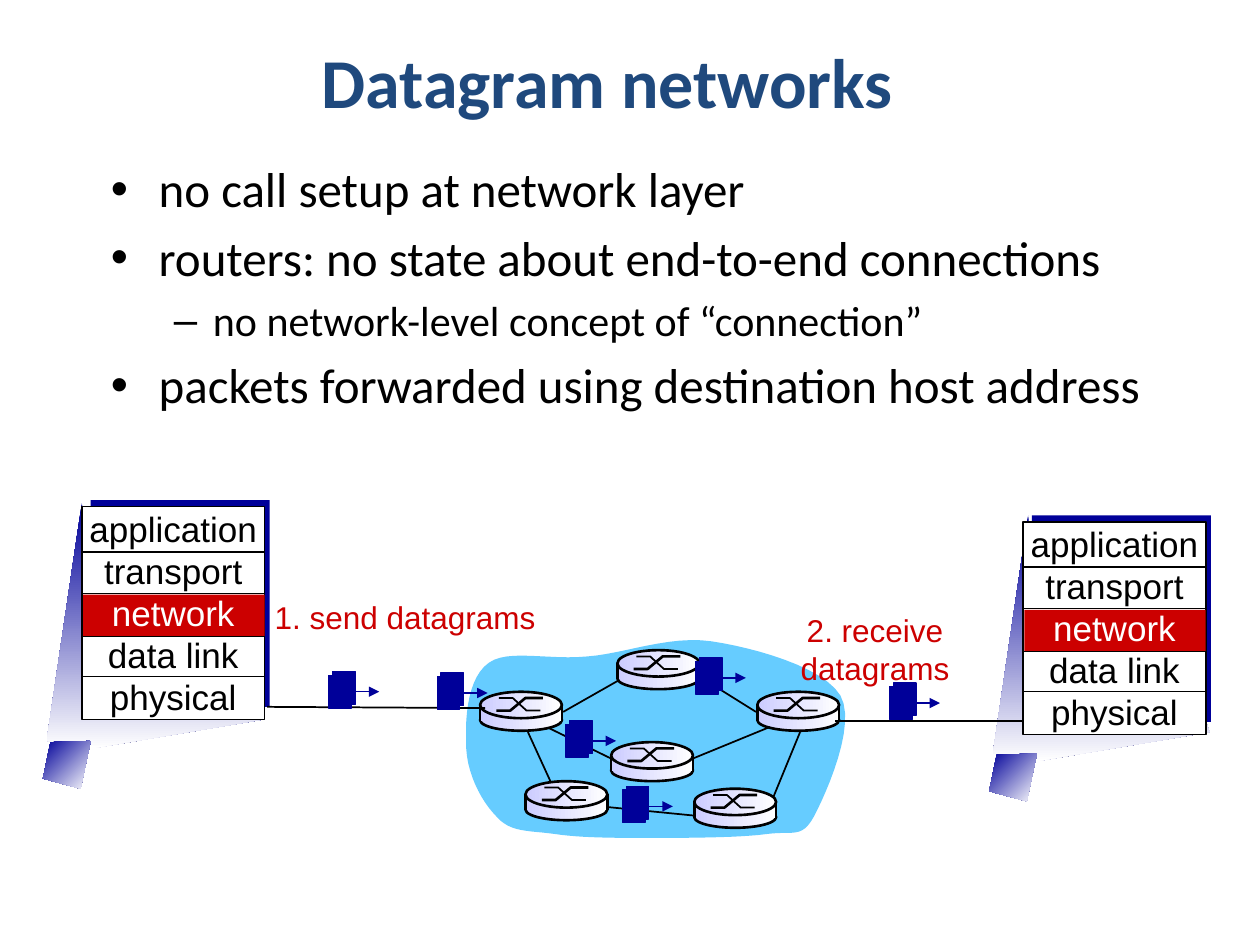
from lxml.etree import SubElement
from pptx import Presentation
from pptx.dml.color import RGBColor
from pptx.enum.shapes import MSO_CONNECTOR, MSO_SHAPE
from pptx.enum.text import MSO_ANCHOR, MSO_AUTO_SIZE, PP_ALIGN
from pptx.oxml.ns import qn
from pptx.util import Inches, Pt

BLACK = RGBColor(0x00, 0x00, 0x00)
WHITE = RGBColor(0xFF, 0xFF, 0xFF)
TITLE_BLUE = RGBColor(0x1F, 0x49, 0x7D)
NAVY = RGBColor(0x00, 0x00, 0x99)
RED = RGBColor(0xCC, 0x00, 0x00)
SKY = RGBColor(0x66, 0xCC, 0xFF)
LAVENDER = RGBColor(0xCC, 0xCC, 0xFF)

BULLETS = [
    ("no call setup at network layer", 0),
    ("routers: no state about end-to-end connections", 0),
    ("no network-level concept of “connection”", 1),
    ("packets forwarded using destination host address", 0),
]
LEVELS = [(28, 0.38, -0.38), (24, 0.81, -0.31)]
LAYERS = ["application", "transport", "network", "data link", "physical"]
LAYER_RULES = [0.36, 0.69, 1.03, 1.35]
BEAM = [(-0.28, 1.86), (0, -0.03), (0.08, 1.53), (1.39, 1.54), (1.44, 1.69), (0.08, 1.92)]
BEAM_TAIL = [(0.07, 1.86), (-0.25, 1.87), (-0.31, 2.16), (-0.01, 2.24)]
CLOUD_START = (3.7, 5.88)
CLOUD_CURVES = [
    ((3.69, 5.67), (3.72, 5.37), (3.88, 5.26)),
    ((4.03, 5.15), (4.36, 5.24), (4.66, 5.21)),
    ((4.95, 5.19), (5.31, 5.04), (5.65, 5.09)),
    ((5.98, 5.14), (6.53, 5.29), (6.67, 5.52)),
    ((6.8, 5.75), (6.56, 6.29), (6.46, 6.48)),
    ((6.36, 6.66), (6.3, 6.59), (6.08, 6.62)),
    ((5.86, 6.65), (5.43, 6.65), (5.15, 6.65)),
    ((4.87, 6.65), (4.61, 6.65), (4.41, 6.62)),
    ((4.2, 6.59), (4.05, 6.61), (3.94, 6.48)),
    ((3.82, 6.36), (3.69, 6.12), (3.7, 5.88)),
]
EDGE_ROUTERS = [(6.01, 5.49), (4.85, 5.89), (3.81, 5.49)]
CORE_ROUTERS = [(4.9, 5.16), (5.51, 6.26), (4.17, 6.2)]
LINKS = [
    ((2.12, 5.61), (3.85, 5.62)), ((4.47, 5.65), (4.98, 5.36)),
    ((5.52, 5.35), (6, 5.65)), ((4.36, 5.78), (4.89, 6.04)),
    ((5.5, 6.02), (6.11, 5.77)), ((6.12, 6.37), (6.35, 5.81)),
    ((5.58, 6.48), (4.77, 6.4)), ((4.4, 6.27), (4.19, 5.81)),
    ((8.12, 5.72), (6.63, 5.72)),
]
PACKETS = [(2.64, 5.33), (3.5, 5.34), (5.55, 5.22), (4.97, 6.24), (4.52, 5.72), (7.09, 5.42)]


def paint(shape, fill=None, line=None, weight=1, angle=0):
    shape.shadow.inherit = False
    if fill is None:
        shape.fill.background()
    elif isinstance(fill, RGBColor):
        shape.fill.solid()
        shape.fill.fore_color.rgb = fill
    else:
        shape.fill.gradient()
        shape.fill.gradient_angle = angle
        for stop, color in zip(shape.fill.gradient_stops, fill):
            stop.color.rgb = color
    if line is None:
        shape.line.fill.background()
    else:
        shape.line.color.rgb = line
        shape.line.width = Pt(weight)


def add_preset(shapes, kind, left, top, width, height, **style):
    shape = shapes.add_shape(kind, Inches(left), Inches(top), Inches(width), Inches(height))
    paint(shape, **style)


def add_outline(shapes, points, left=0, top=0, close=True, **style):
    corners = [(Inches(left + x), Inches(top + y)) for x, y in points]
    builder = shapes.build_freeform(*corners[0])
    builder.add_line_segments(corners[1:], close=close)
    paint(builder.convert_to_shape(), **style)


def add_line(shapes, start, end, color=BLACK, weight=1, arrow=False):
    line = shapes.add_connector(MSO_CONNECTOR.STRAIGHT, *map(Inches, start + end))
    line.line.color.rgb = color
    line.line.width = Pt(weight)
    if arrow:
        SubElement(line._element.spPr.find(qn("a:ln")), qn("a:tailEnd"), type="triangle")
    SubElement(line._element.spPr, qn("a:effectLst"))


def add_span(para, text, size, color, font="Arial", bold=False):
    span = para.add_run()
    span.text = text
    span.font.name = font
    span.font.size = Pt(size)
    span.font.bold = bold
    span.font.color.rgb = color


def place(box, left, top, width, height):
    box.left, box.top, box.width, box.height = map(Inches, (left, top, width, height))
    box.text_frame.word_wrap = True
    box.text_frame.auto_size = MSO_AUTO_SIZE.NONE


def fill_title(box, left, top, width, height):
    place(box, left, top, width, height)
    box.text_frame.vertical_anchor = MSO_ANCHOR.MIDDLE
    para = box.text_frame.paragraphs[0]
    para.alignment = PP_ALIGN.CENTER
    add_span(para, "Datagram networks", 40, TITLE_BLUE, "Calibri", True)


def fill_body(box, left, top, width, height):
    place(box, left, top, width, height)
    frame = box.text_frame
    for index, (text, level) in enumerate(BULLETS):
        para = frame.add_paragraph() if index else frame.paragraphs[0]
        size, margin, indent = LEVELS[level]
        para.level = level
        para.space_before = Pt(size * 0.2 if index else 0)
        properties = para._p.get_or_add_pPr()
        properties.set("marL", str(Inches(margin)))
        properties.set("indent", str(Inches(indent)))
        SubElement(properties, qn("a:buChar"), char="–" if level else "•")
        add_span(para, text, size, BLACK, "Calibri")


def add_label(page, text, left, top, width, height):
    box = page.shapes.add_textbox(*map(Inches, (left, top, width, height)))
    box.text_frame.word_wrap = False
    para = box.text_frame.paragraphs[0]
    para.alignment = PP_ALIGN.CENTER
    add_span(para, text, 18, RED)


def add_stack(page, left, top, beam_x=0, beam_y=0):
    shapes = page.shapes.add_group_shape().shapes
    fade = (NAVY, WHITE)
    add_outline(shapes, BEAM, left + beam_x, top + beam_y, fill=fade, angle=270)
    add_outline(shapes, BEAM_TAIL, left + beam_x, top + beam_y, fill=fade, angle=315)
    add_preset(shapes, MSO_SHAPE.RECTANGLE, left + 0.07, top - 0.05, 1.42, 1.64, fill=NAVY)
    add_preset(shapes, MSO_SHAPE.RECTANGLE, left, top, 1.45, 1.69, fill=WHITE, line=BLACK)
    add_preset(shapes, MSO_SHAPE.RECTANGLE, left + 0.01, top + 0.7, 1.44, 0.33, fill=RED)
    box = shapes.add_textbox(0, 0, 0, 0)
    place(box, left - 0.13, top - 0.04, 1.71, 1.77)
    frame = box.text_frame
    for index, layer in enumerate(LAYERS):
        para = frame.add_paragraph() if index else frame.paragraphs[0]
        para.alignment = PP_ALIGN.CENTER
        para.line_spacing = Pt(24)
        add_span(para, layer, 20, WHITE if layer == "network" else BLACK)
    for offset in LAYER_RULES:
        add_line(shapes, (left, top + offset), (left + 1.45, top + offset), weight=0.75)


def add_cloud(page):
    points, start = [CLOUD_START], CLOUD_START
    steps = 12
    for first, second, end in CLOUD_CURVES:
        for step in range(1, steps + 1):
            t = step / steps
            weights = ((1 - t) ** 3, 3 * t * (1 - t) ** 2, 3 * t * t * (1 - t), t ** 3)
            corners = (start, first, second, end)
            points.append(tuple(sum(w * c[axis] for w, c in zip(weights, corners))
                                for axis in (0, 1)))
        start = end
    add_outline(page.shapes, points, fill=SKY)


def add_router(page, left, top):
    shapes = page.shapes.add_group_shape().shapes
    metal = (LAVENDER, WHITE)
    rim = {"fill": metal, "line": BLACK, "weight": 1.5}
    add_preset(shapes, MSO_SHAPE.OVAL, left, top + 0.14, 0.65, 0.17, **rim)
    add_preset(shapes, MSO_SHAPE.RECTANGLE, left, top + 0.12, 0.65, 0.11, fill=metal)
    add_preset(shapes, MSO_SHAPE.OVAL, left, top, 0.65, 0.21, **rim)
    rising = [(0.13, 0.15), (0.24, 0.15), (0.36, 0.05), (0.5, 0.05)]
    falling = [(0.15, 0.05), (0.26, 0.05), (0.37, 0.15), (0.48, 0.15)]
    for points, weight in ((rising, 1.5), (falling, 1)):
        add_outline(shapes, points, left, top, close=False, line=BLACK, weight=weight)
    for side in (left, left + 0.65):
        add_line(shapes, (side, top + 0.1), (side, top + 0.23), weight=1.5)


def add_packet(page, left, top):
    shapes = page.shapes.add_group_shape().shapes
    for shift in (0, 0.03):
        add_preset(shapes, MSO_SHAPE.RECTANGLE, left - shift, top + shift, 0.18, 0.26,
                   fill=NAVY, line=NAVY, weight=0.75)
    add_line(shapes, (left + 0.15, top + 0.16), (left + 0.37, top + 0.16), NAVY, 0.75, True)


def add_network(page):
    add_cloud(page)
    for spot in EDGE_ROUTERS:
        add_router(page, *spot)
    for start, end in LINKS:
        add_line(page.shapes, start, end)
    for spot in CORE_ROUTERS:
        add_router(page, *spot)
    for spot in PACKETS:
        add_packet(page, *spot)


def main():
    deck = Presentation()
    deck.slide_width, deck.slide_height = Inches(10), Inches(7.5)
    page = deck.slides.add_slide(deck.slide_layouts[1])
    fill_title(page.shapes.title, 0.57, 0.15, 8.5, 0.98)
    fill_body(page.placeholders[1], 0.78, 1.21, 8.83, 2.49)
    add_label(page, "1. send datagrams", 2.08, 4.7, 2.27, 0.4)
    add_stack(page, 8.12, 4.14, 0.04, -0.02)
    add_stack(page, 0.65, 4.02)
    add_network(page)
    add_label(page, "2. receive datagrams", 5.68, 4.8, 2.53, 0.4)
    deck.save("out.pptx")


if __name__ == "__main__":
    main()
